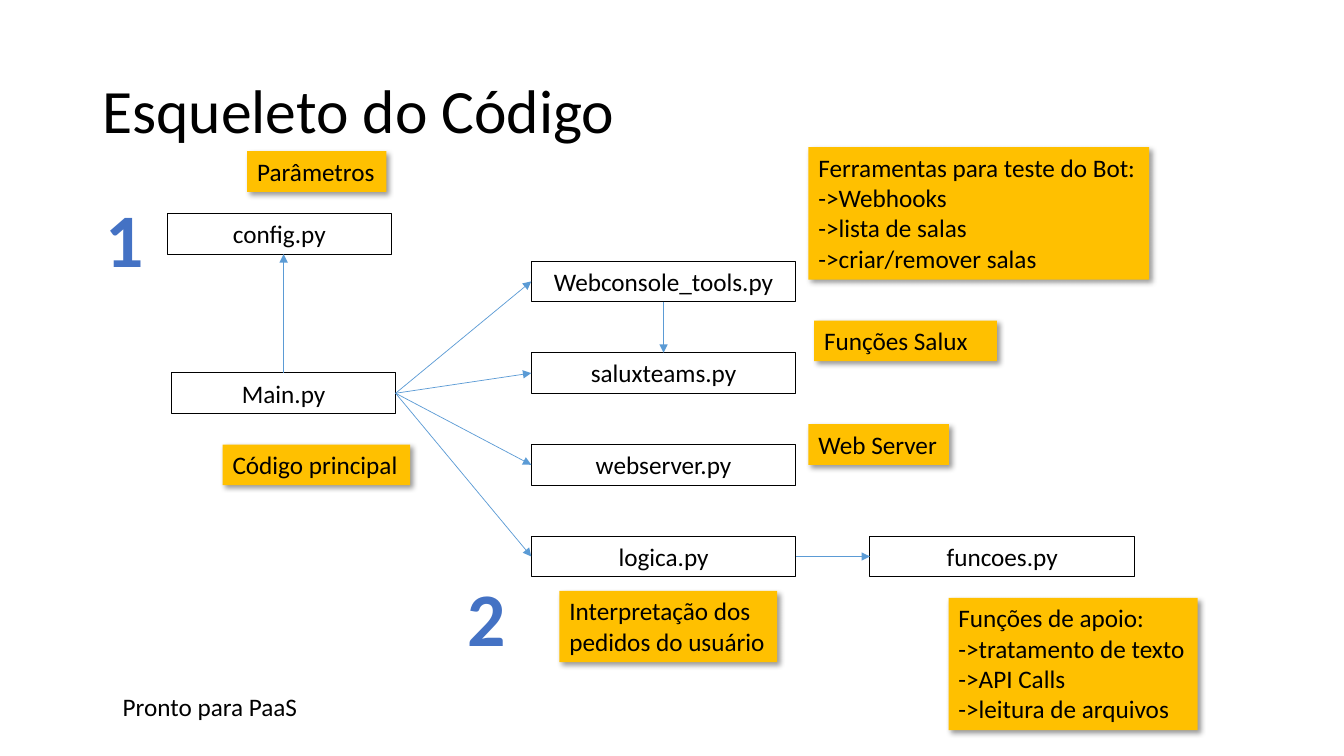
from lxml.etree import SubElement
from pptx import Presentation
from pptx.dml.color import RGBColor
from pptx.enum.shapes import MSO_CONNECTOR, MSO_SHAPE
from pptx.enum.text import MSO_ANCHOR, MSO_AUTO_SIZE, PP_ALIGN
from pptx.oxml import parse_xml
from pptx.oxml.ns import nsdecls, qn
from pptx.util import Pt

COLORS = {"text": "000000", "note": "FFC000", "arrow": "5B9BD5",
          "number": "4472C4", "halo": "FFFFFF"}
TOP, LEFT, BOTTOM, RIGHT = range(4)  # connection sites of a rectangle


def color(name):
    return RGBColor.from_string(COLORS[name])


class SlideBuilder:
    font = "Calibri"

    def __init__(self, slide):
        self.slide = slide

    def fill_text(self, frame, paragraphs, ink="text", align=PP_ALIGN.LEFT,
                  anchor=MSO_ANCHOR.TOP, wrap=False, spacing=None,
                  fit=MSO_AUTO_SIZE.SHAPE_TO_FIT_TEXT, **font_values):
        frame_values = {"word_wrap": wrap, "auto_size": fit, "vertical_anchor": anchor}
        for name, value in frame_values.items():
            setattr(frame, name, value)
        values = {"name": self.font, "size": Pt(18), **font_values}
        for index, text in enumerate(paragraphs):
            para = frame.add_paragraph() if index else frame.paragraphs[0]
            para.text = text
            para.alignment = align
            if spacing:
                para.line_spacing = spacing
            for span in para.runs:
                for name, value in values.items():
                    setattr(span.font, name, value)
                span.font.color.rgb = color(ink)

    def title(self, text, *place):
        box = self.slide.shapes.title
        box.left, box.top, box.width, box.height = map(Pt, place)
        self.fill_text(box.text_frame, [text], anchor=MSO_ANCHOR.MIDDLE, wrap=True,
                       fit=MSO_AUTO_SIZE.NONE, spacing=0.9, size=Pt(44))

    def rectangle(self, *place):
        box = self.slide.shapes.add_shape(MSO_SHAPE.RECTANGLE, *map(Pt, place))
        box.shadow.inherit = False
        return box

    def module(self, text, left, top, width):
        box = self.rectangle(left, top, width, 29)
        box.fill.background()
        box.line.color.rgb = color("text")
        box.line.width = Pt(0.75)
        self.fill_text(box.text_frame, [text], align=PP_ALIGN.CENTER, wrap=True)
        return box

    def note(self, paragraphs, *place):
        box = self.rectangle(*place)
        box.fill.solid()
        box.fill.fore_color.rgb = color("note")
        box.line.fill.background()
        effects = box._element.spPr.find(qn("a:effectLst"))
        effects.append(parse_xml(
            f'<a:outerShdw {nsdecls("a")} blurRad="{Pt(4)}" dist="{Pt(3)}" '
            'dir="2700000" algn="tl" rotWithShape="0"><a:srgbClr val="000000">'
            '<a:alpha val="40000"/></a:srgbClr></a:outerShdw>'))
        self.fill_text(box.text_frame, paragraphs)

    def label(self, text, *place, **style):
        box = self.slide.shapes.add_textbox(*map(Pt, place))
        self.fill_text(box.text_frame, [text], **style)
        return box

    def number(self, text, left, top):
        box = self.label(text, left, top, 42.5, 72.7, ink="number",
                         align=PP_ALIGN.CENTER, size=Pt(54), bold=True)
        span = box.text_frame.paragraphs[0].runs[0]
        span.font._element.insert(0, parse_xml(
            f'<a:ln {nsdecls("a")} w="{Pt(0.75)}"><a:solidFill>'
            f'<a:srgbClr val="{COLORS["halo"]}"/></a:solidFill></a:ln>'))

    def arrow(self, start, start_site, end, end_site):
        line = self.slide.shapes.add_connector(MSO_CONNECTOR.STRAIGHT, 0, 0, 0, 0)
        line.begin_connect(start, start_site)
        line.end_connect(end, end_site)
        line.line.color.rgb = color("arrow")
        line.line.width = Pt(0.5)
        properties = line._element.spPr
        SubElement(properties.find(qn("a:ln")), qn("a:tailEnd"), type="triangle")
        SubElement(properties, qn("a:effectLst"))
        return line


deck = Presentation()
deck.slide_width, deck.slide_height = Pt(960), Pt(540)
page = SlideBuilder(deck.slides.add_slide(deck.slide_layouts[5]))
page.title("Esqueleto do Código", 66, 28.75, 828, 104.4)

# Modules
main = page.module("Main.py", 122.6, 266.4, 160)
config = page.module("config.py", 119.5, 152.6, 160)
names = ["Webconsole_tools.py", "saluxteams.py", "webserver.py", "logica.py"]
console, teams, server, logic = modules = [
    page.module(name, 379.5, 186.5 + 65.5 * row, 189) for row, name in enumerate(names)]
functions = page.module("funcoes.py", 621.4, 383, 189)

# Arrows
upward = page.arrow(main, TOP, config, BOTTOM)
upward.end_x = upward.begin_x
for module in modules:
    page.arrow(main, RIGHT, module, LEFT)
page.arrow(console, BOTTOM, teams, TOP)
page.arrow(logic, RIGHT, functions, LEFT)

# Notes; \v breaks a line inside a paragraph
for paragraphs, *place in [
    (["Parâmetros"], 176.6, 108, 99.4, 29),
    (["Código principal"], 159, 317.5, 134, 29),
    (["Ferramentas para teste do Bot:\v->Webhooks", "->lista de salas",
      "->criar/remover salas"], 577.5, 105.2, 243.4, 94.5),
    (["Funções Salux"], 581.6, 229, 130.5, 29),
    (["Web Server"], 577.5, 303, 100.3, 29),
    (["Interpretação dos\vpedidos do usuário"], 399.6, 422, 155.5, 51),
    (["Funções de apoio:\v->tratamento de texto\v->API Calls",
      "->leitura de arquivos"], 677.5, 427, 178, 94.5),
]:
    page.note(paragraphs, *place)

# Step numbers and closing label
page.number("1", 67.7, 133.2)
page.number("2", 326.2, 404)
page.label("Pronto para PaaS", 80.6, 490.5, 140.4, 29)

deck.save("out.pptx")
